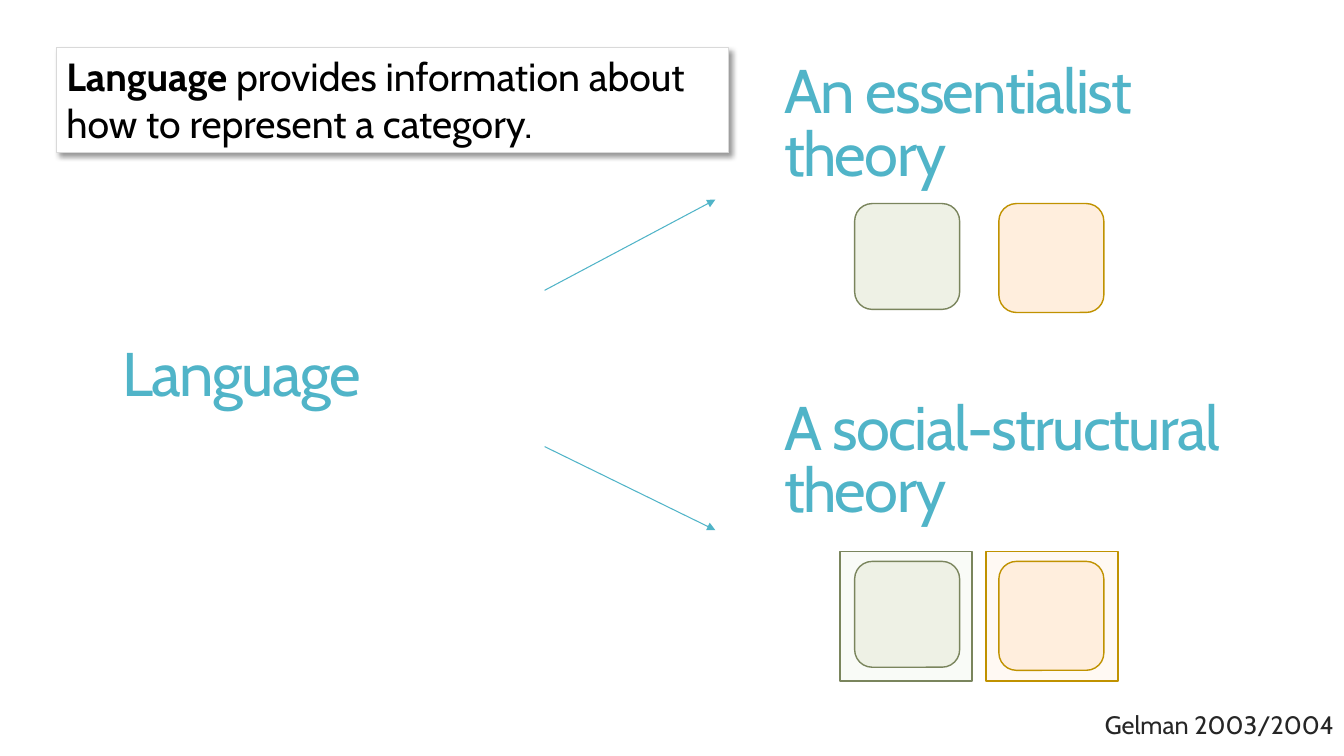
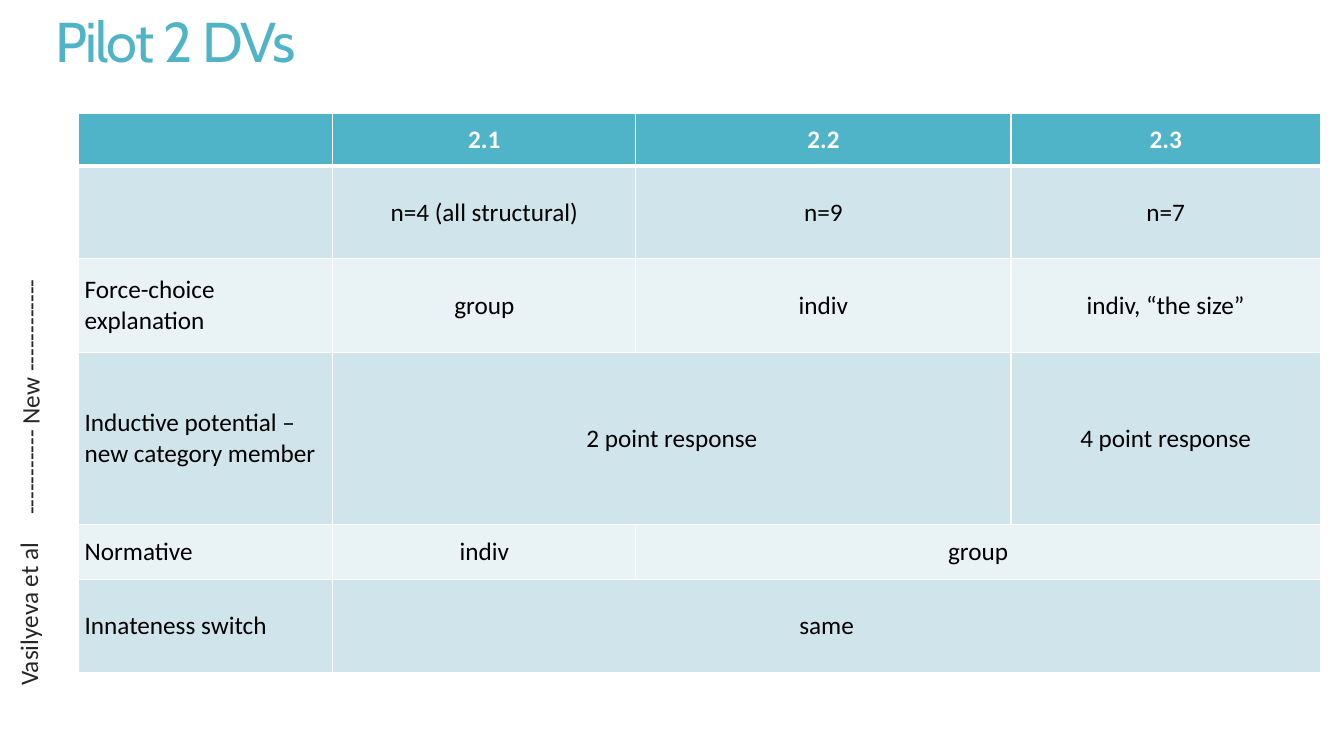
import pptx
import pptx.dml.color
import pptx.enum.shapes
import pptx.enum.text
import pptx.oxml
import pptx.oxml.ns
import pptx.util
from lxml import etree

Pt = pptx.util.Pt
ALIGN = pptx.enum.text.PP_ALIGN
ANCHOR = pptx.enum.text.MSO_ANCHOR
SHAPE = pptx.enum.shapes.MSO_SHAPE
qn = pptx.oxml.ns.qn

COLORS = {
    "accent": "50B4C8", "text": "262626", "black": "000000", "white": "FFFFFF",
    "callout_line": "D9D9D9",
    "green": "EEF1E5", "green_pale": "F9FBF7", "green_line": "7A855D",
    "orange": "FFEEDD", "orange_pale": "FFF9F3", "orange_line": "C09200",
    "band_dark": "D0E5EB", "band_light": "E9F2F5",
}
HEAD_FONT, BODY_FONT = "Cabin", "Calibri"

# Table content: None continues the cell to its left
DV_ROWS = [
    ["", "2.1", "2.2", "2.3"],
    ["", "n=4 (all structural)", "n=9", "n=7"],
    ["Force-choice explanation", "group", "indiv", "indiv, “the size”"],
    ["Inductive potential – \vnew category member", "2 point response", None,
     "4 point response"],
    ["Normative", "indiv", "group", None],
    ["Innateness switch", "same", None, None],
]
COLUMN_WIDTHS = [181.5, 216.5, 268, 221]
ROW_HEIGHTS = [38, 66, 67, 123, 39, 67]


# Shared helpers
def rgb(name):
    return pptx.dml.color.RGBColor.from_string(COLORS[name])


def paint(shape, fill, line, width):
    shape.fill.solid()
    shape.fill.fore_color.rgb = rgb(fill)
    shape.line.color.rgb = rgb(line)
    shape.line.width = Pt(width)


def style(paragraph, font, size, color, align=ALIGN.LEFT, bold=None):
    paragraph.alignment = align
    paragraph.font.name = font
    paragraph.font.size = Pt(size)
    paragraph.font.color.rgb = rgb(color)
    paragraph.font.bold = bold


def add_text(slide, box, text, font, size, color, align=ALIGN.LEFT,
             anchor=ANCHOR.TOP, spacing=0.85):
    label = slide.shapes.add_textbox(*map(Pt, box))
    frame = label.text_frame
    frame.word_wrap = True
    frame.vertical_anchor = anchor
    paragraph = frame.paragraphs[0]
    paragraph.text = text
    paragraph.line_spacing = spacing
    style(paragraph, font, size, color, align)
    return label


def add_heading(slide, box, text, size=44):
    heading = add_text(slide, box, text, HEAD_FONT, size, "accent",
                       anchor=ANCHOR.MIDDLE)
    for run in heading.text_frame.paragraphs[0].runs:
        run._r.get_or_add_rPr().set("spc", "-120")


def add_side_label(slide, box, text):
    label = add_text(slide, box, text, BODY_FONT, 18, "text", ALIGN.CENTER)
    label.rotation = 270


# Diagram parts
def add_tile(slide, kind, box, fill, line):
    tile = slide.shapes.add_shape(kind, *map(Pt, box))
    tile.shadow.inherit = False
    paint(tile, fill, line, 1)


def add_arrow(slide, start, end):
    arrow = slide.shapes.add_connector(
        pptx.enum.shapes.MSO_CONNECTOR.STRAIGHT, *map(Pt, start + end))
    arrow.line.color.rgb = rgb("accent")
    arrow.line.width = Pt(0.75)
    etree.SubElement(arrow.line._get_or_add_ln(), qn("a:tailEnd"),
                     type="triangle")
    etree.SubElement(arrow._element.spPr, qn("a:effectLst"))


def add_callout(slide, box, lead, rest):
    callout = add_text(slide, box, "", HEAD_FONT, 28, "black", spacing=1.0)
    paint(callout, "white", "callout_line", 0.75)
    paragraph = callout.text_frame.paragraphs[0]
    for text, bold in ((lead, True), (rest, False)):
        run = paragraph.add_run()
        run.text = text
        run.font.bold = bold
    effects = etree.SubElement(callout._element.spPr, qn("a:effectLst"))
    shadow = etree.SubElement(
        effects, qn("a:outerShdw"), blurRad=str(Pt(4)), dist=str(Pt(3)),
        dir="2700000", algn="tl", rotWithShape="0")
    tone = etree.SubElement(shadow, qn("a:srgbClr"), val=COLORS["black"])
    etree.SubElement(tone, qn("a:alpha"), val="40000")


# Table parts
def add_borders(cell, top, bottom):
    properties = cell._tc.get_or_add_tcPr()
    for side, width in (("L", 1), ("R", 1), ("T", top), ("B", bottom)):
        border = etree.SubElement(properties, qn("a:ln" + side),
                                  w=str(Pt(width)))
        fill = etree.SubElement(border, qn("a:solidFill"))
        etree.SubElement(fill, qn("a:srgbClr"), val=COLORS["white"])


def fill_cell(cell, row, column, text):
    add_borders(cell, 3 if row == 1 else 1, 3 if row == 0 else 1)
    cell.fill.solid()
    band = "band_dark" if row % 2 else "band_light"
    cell.fill.fore_color.rgb = rgb(band if row else "accent")
    cell.vertical_anchor = ANCHOR.MIDDLE
    if column == 0:
        cell.margin_left = cell.margin_right = Pt(4.3)
        cell.margin_top = cell.margin_bottom = Pt(4.3)
    if text:
        paragraph = cell.text_frame.paragraphs[0]
        paragraph.text = text
        style(paragraph, BODY_FONT, 18, "black" if row else "white",
              ALIGN.CENTER if column else ALIGN.LEFT, bold=row == 0)


def add_dv_table(slide, left, top):
    table = slide.shapes.add_table(
        len(DV_ROWS), len(COLUMN_WIDTHS), Pt(left), Pt(top),
        Pt(sum(COLUMN_WIDTHS)), Pt(sum(ROW_HEIGHTS))).table
    table.horz_banding = False
    for column, width in zip(table.columns, COLUMN_WIDTHS):
        column.width = Pt(width)
    for row, height in zip(table.rows, ROW_HEIGHTS):
        row.height = Pt(height)
    for r, texts in enumerate(DV_ROWS):
        for c, text in enumerate(texts):
            fill_cell(table.cell(r, c), r, c, text)
        for c, text in enumerate(texts):
            end = c
            while end + 1 < len(texts) and texts[end + 1] is None:
                end += 1
            if text is not None and end > c:
                table.cell(r, c).merge(table.cell(r, end))


# Slides
def build_theories(slide):
    categories = (("green", 610.5, 75.6, 600), ("orange", 713.5, 77.8, 704.2))
    for name, _, _, frame_left in categories:
        add_tile(slide, SHAPE.RECTANGLE, (frame_left, 393.8, 94.3, 92.6),
                 name + "_pale", name + "_line")
    for top in (145.4, 401):
        for name, left, height, _ in categories:
            add_tile(slide, SHAPE.ROUNDED_RECTANGLE, (left, top, 75, height),
                     name, name + "_line")

    add_heading(slide, (553, 27.5, 355.7, 125), "An essentialist \vtheory")
    add_heading(slide, (553, 268, 355.7, 125), "A social-structural theory")
    add_heading(slide, (80.6, 226, 277, 88), "Language")
    add_arrow(slide, (389, 207.4), (511, 142.6))
    add_arrow(slide, (389, 319), (511, 378.7))
    add_text(slide, (615.6, 506.2, 344.4, 33.8), "Gelman 2003/2004",
             HEAD_FONT, 18, "text", ALIGN.RIGHT)
    add_callout(slide, (40.3, 33.8, 480.2, 75), "Language",
                " provides information about how to represent a category.")


def build_dvs(slide):
    add_heading(slide, (32.4, 0, 848, 65.5), "Pilot 2 DVs", 40)
    add_dv_table(slide, 56.2, 80.8)
    add_side_label(slide, (-72.7, 271.4, 190, 24.5),
                   "----------- New ------------")
    add_side_label(slide, (-39.6, 426.2, 122.4, 25.2), "Vasilyeva et al")


def main():
    deck = pptx.Presentation()
    deck.slide_width, deck.slide_height = Pt(960), Pt(540)
    blank = deck.slide_layouts[6]
    for build in (build_theories, build_dvs):
        build(deck.slides.add_slide(blank))
    deck.save("out.pptx")


if __name__ == "__main__":
    main()
